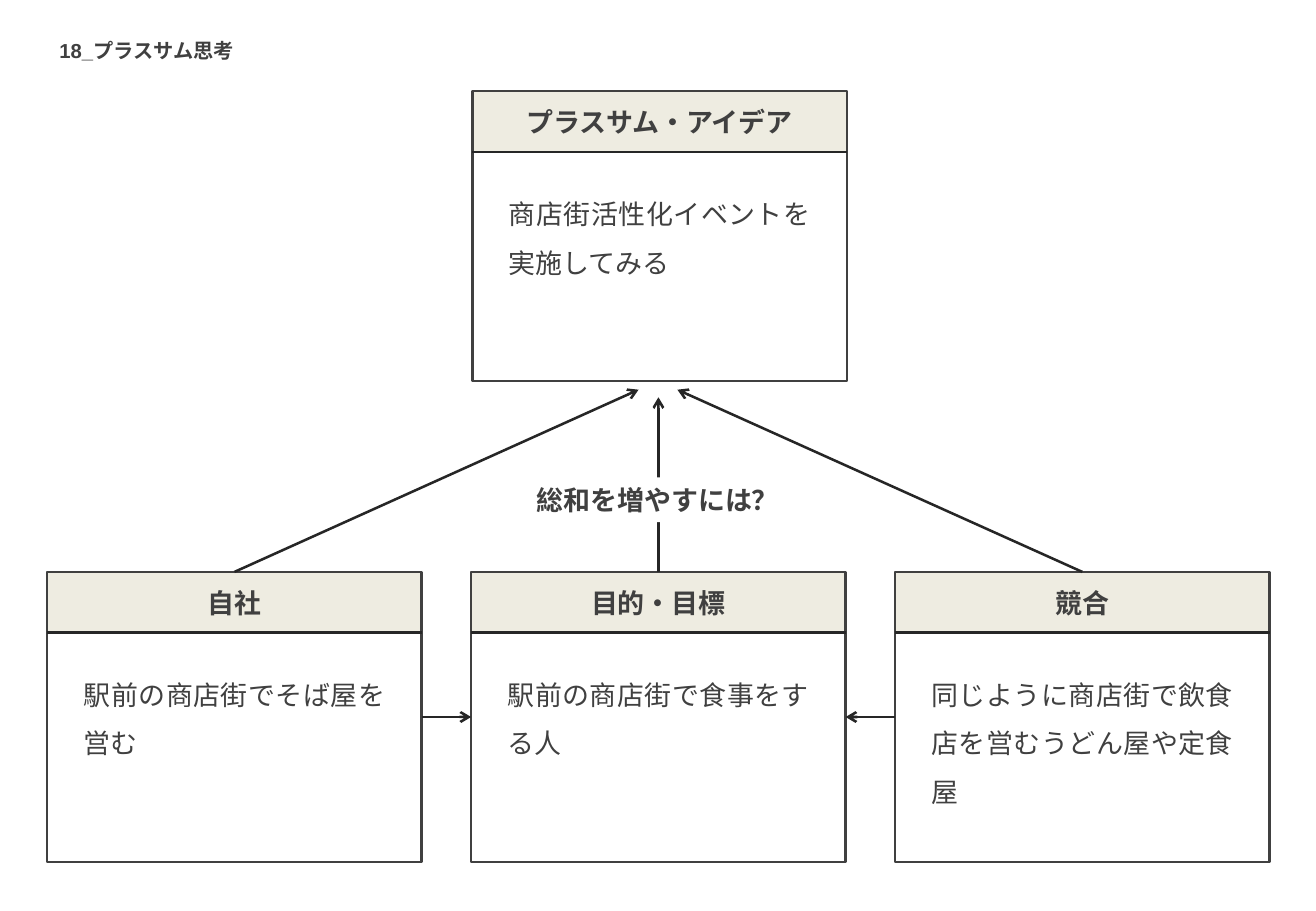
from lxml import etree
from pptx import Presentation
from pptx.dml.color import RGBColor
from pptx.enum.shapes import MSO_CONNECTOR, MSO_SHAPE
from pptx.enum.text import MSO_ANCHOR, PP_ALIGN
from pptx.oxml.ns import qn
from pptx.util import Pt

RECTANGLE = MSO_SHAPE.RECTANGLE
STRAIGHT = MSO_CONNECTOR.STRAIGHT
TOP, MIDDLE = MSO_ANCHOR.TOP, MSO_ANCHOR.MIDDLE
LEFT, CENTER, JUSTIFY = PP_ALIGN.LEFT, PP_ALIGN.CENTER, PP_ALIGN.JUSTIFY

FONT = "Arial"
TEXT, LINE, BEIGE, WHITE = "404040", "262626", "EEECE1", "FFFFFF"
LINE_WIDTH = 1.5
CARD_WIDTH, CARD_HEIGHT, HEADER_HEIGHT = 222, 172, 36
LOWER_TOP = 339


def write(shape, text, size, bold, alignment, anchor):
    """Fill a shape with one formatted paragraph and return the paragraph."""
    frame = shape.text_frame
    frame.word_wrap = True
    frame.vertical_anchor = anchor
    paragraph = frame.paragraphs[0]
    paragraph.alignment = alignment
    run = paragraph.add_run()
    run.text = text
    font = run.font
    font.size, font.bold, font.name = Pt(size), bold, FONT
    font.color.rgb = RGBColor.from_string(TEXT)
    etree.SubElement(run._r.get_or_add_rPr(), qn("a:ea"), typeface=FONT)
    return paragraph


def add_line(shapes, start_x, start_y, end_x, end_y, arrow=True):
    line = shapes.add_connector(STRAIGHT, Pt(start_x), Pt(start_y), Pt(end_x), Pt(end_y))
    line.line.color.rgb = RGBColor.from_string(LINE)
    line.line.width = Pt(LINE_WIDTH)
    if arrow:
        etree.SubElement(line.line._get_or_add_ln(), qn("a:tailEnd"), type="arrow")
    etree.SubElement(line._element.spPr, qn("a:effectLst"))
    return line


presentation = Presentation()
presentation.slide_width, presentation.slide_height = Pt(780), Pt(540)
slide = presentation.slides.add_slide(presentation.slide_layouts[5])

title = slide.shapes.title
title.left, title.top, title.width, title.height = Pt(28), Pt(19), Pt(118), Pt(22)
write(title, "18_プラスサム思考", 12, True, LEFT, TOP)

# Cards: three in the lower row, the idea above the middle one
cards = [
    (28, LOWER_TOP, "自社", "駅前の商店街でそば屋を営む"),
    (279.25, LOWER_TOP, "目的・目標", "駅前の商店街で食事をする人"),
    (530.5, LOWER_TOP, "競合", "同じように商店街で飲食店を営むうどん屋や定食屋"),
    (280, 54, "プラスサム・アイデア", "商店街活性化イベントを実施してみる"),
]
outlines = []
for left, top, heading, body in cards:
    shapes = slide.shapes.add_group_shape().shapes
    header = shapes.add_shape(RECTANGLE, Pt(left), Pt(top), Pt(CARD_WIDTH), Pt(HEADER_HEIGHT))
    header.shadow.inherit = False
    header.fill.solid()
    header.fill.fore_color.rgb = RGBColor.from_string(BEIGE)
    header.line.fill.background()
    write(header, heading, 16, True, CENTER, MIDDLE)

    outline = shapes.add_shape(RECTANGLE, Pt(left), Pt(top), Pt(CARD_WIDTH), Pt(CARD_HEIGHT))
    outline.shadow.inherit = False
    outline.fill.background()
    outline.line.color.rgb = RGBColor.from_string(TEXT)
    outline.line.width = Pt(LINE_WIDTH)
    outlines.append(outline)

    divider_y = top + HEADER_HEIGHT
    add_line(shapes, left, divider_y, left + CARD_WIDTH, divider_y, arrow=False)
    body_box = shapes.add_textbox(Pt(left + 14.5), Pt(top + 50), Pt(193), Pt(63))
    write(body_box, body, 16, False, JUSTIFY, TOP).line_spacing = 1.5

# Arrows from the lower cards up to the idea
for outline, end_x, end_y in zip(outlines, (378.5, 390.25, 401.5), (231, 235.5, 231)):
    arrow = add_line(slide.shapes, end_x, LOWER_TOP, end_x, end_y)
    arrow.begin_connect(outline, 0)

# Arrows from the outer cards to the middle one
company, goal, competitor, idea = outlines
for source, source_side, goal_side in ((company, 3, 1), (competitor, 1, 3)):
    arrow = add_line(slide.shapes, 0, 0, 0, 0)
    arrow.begin_connect(source, source_side)
    arrow.end_connect(goal, goal_side)

question = slide.shapes.add_shape(RECTANGLE, Pt(301.5), Pt(283), Pt(177), Pt(26.5))
question.shadow.inherit = False
question.fill.solid()
question.fill.fore_color.rgb = RGBColor.from_string(WHITE)
question.line.fill.background()
write(question, "総和を増やすには？", 16, True, CENTER, MIDDLE)

presentation.save("out.pptx")
